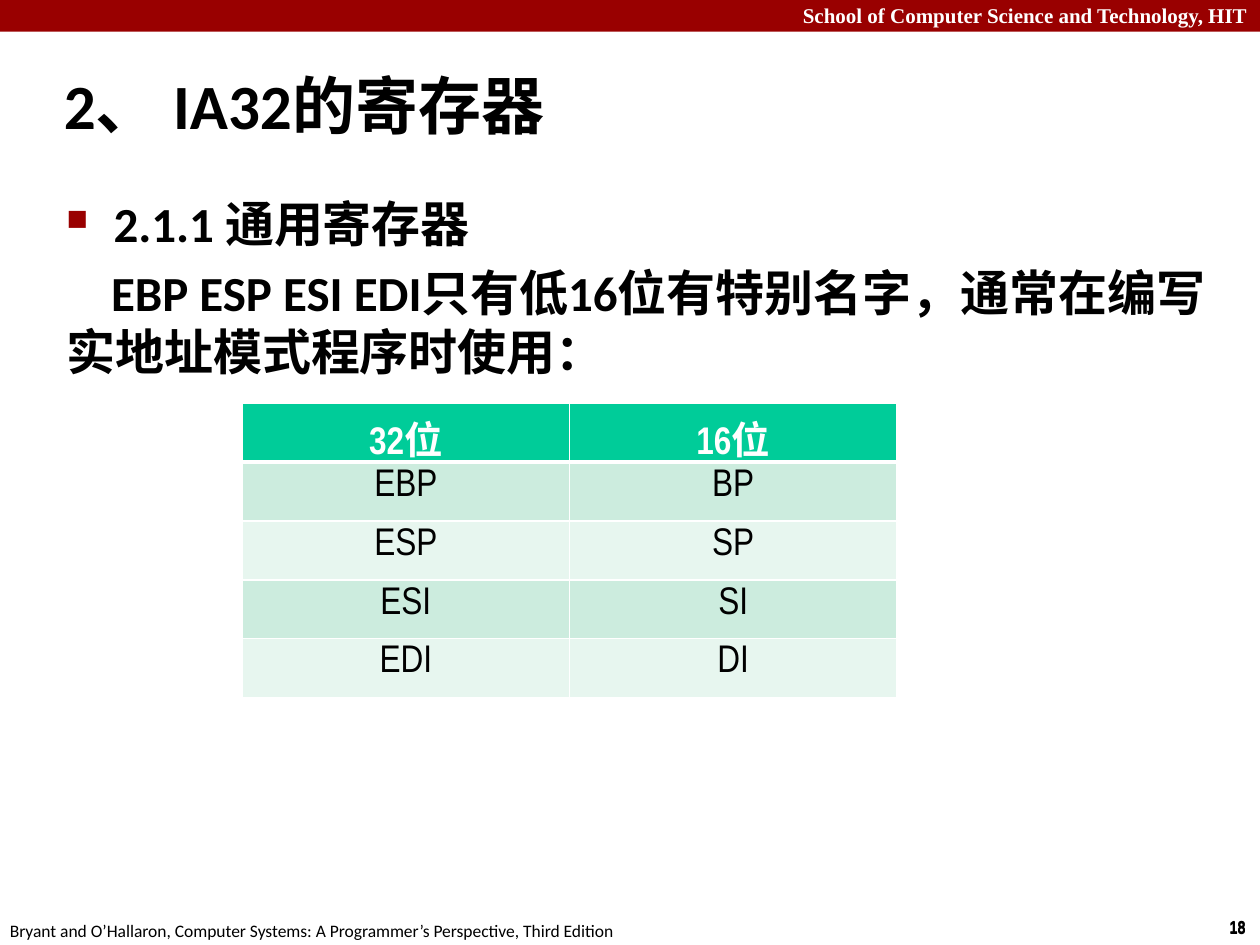
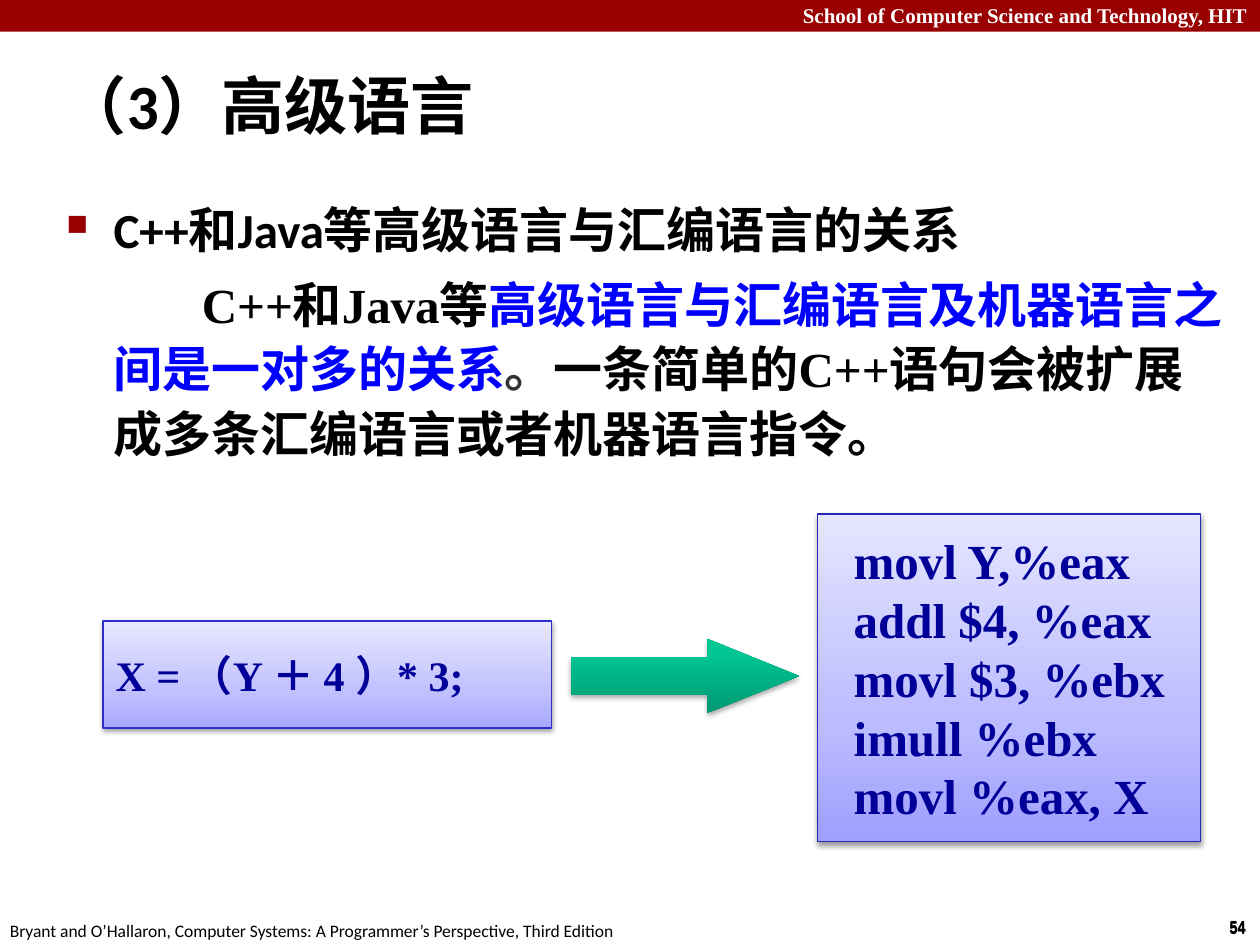
"""Builds two lecture slides on registers and high-level languages."""
import lxml.etree
import pptx
import pptx.dml.color
import pptx.enum.shapes
import pptx.enum.text
import pptx.oxml.ns
import pptx.util

Cm = pptx.util.Cm
Pt = pptx.util.Pt
qn = pptx.oxml.ns.qn
Align = pptx.enum.text.PP_ALIGN
Anchor = pptx.enum.text.MSO_ANCHOR
Preset = pptx.enum.shapes.MSO_SHAPE

COLORS = {
    "band": "990000", "paper": "FFFFFF", "ink": "000000", "stop": "333333",
    "emphasis": "0000FF", "code": "000099", "header": "00CC99",
    "odd": "CCECDE", "even": "E7F6EF",
}
SANS, SERIF, NARROW = "Calibri", "Times New Roman", "Arial Narrow"
STATEMENT_GRADIENT = [(0, "A7A7FF"), (35, "C1C1FF"), (100, "E7E7FF")]
ASSEMBLY_GRADIENT = [(0, "9F9FFF"), (35, "BBBBFF"), (100, "E5E5FF")]
ARROW_GRADIENT = [(0, "009872"), (80, "00C694"), (100, "00C795")]


def rgb(value):
    return pptx.dml.color.RGBColor.from_string(value)


def add_xml(parent, tag, **attributes):
    child = lxml.etree.SubElement(parent, qn(tag))
    for key, value in attributes.items():
        child.set(key, str(value))
    return child


def write(paragraph, text, size=28, font=SANS, color="ink", bold=True):
    run = paragraph.add_run()
    run.text = text
    run.font.size = Pt(size)
    run.font.name = font
    run.font.bold = bold
    run.font.color.rgb = rgb(COLORS[color])


class Deck:
    def __init__(self):
        self.show = pptx.Presentation()
        self.show.slide_width, self.show.slide_height = Cm(25.4), Cm(19.05)
        self.slide = None

    def start_slide(self, title, number):
        self.slide = self.show.slides.add_slide(self.show.slide_layouts[6])
        band = self.shape(Preset.RECTANGLE, 0, 0, 25.4, 0.64)
        band.fill.solid()
        band.fill.fore_color.rgb = rgb(COLORS["band"])
        school = self.textbox(0, -0.08, 25.4, 0.76)
        self.paragraph(school, "School of Computer Science and Technology, HIT",
                       align=Align.RIGHT, size=12, font=SERIF, color="paper")
        for top in (18.36, 18.34):
            page = self.textbox(24.54, top, 0.86, 0.69, wrap=False)
            self.paragraph(page, str(number), size=10, font=NARROW)
        book = self.textbox(-0.05, 18.42, 12.9, 0.69, wrap=False)
        self.paragraph(book, "Bryant and O’Hallaron, Computer Systems: "
                       "A Programmer’s Perspective, Third Edition", size=10, bold=False)
        heading = self.textbox(1.04, 1.04, 24.33, 2.11, anchor=Anchor.MIDDLE)
        self.paragraph(heading, title, margin=0.33, indent=-0.33, size=36)

    def textbox(self, left, top, width, height, wrap=True, anchor=Anchor.TOP):
        frame = self.slide.shapes.add_textbox(
            Cm(left), Cm(top), Cm(width), Cm(height)).text_frame
        frame.word_wrap = wrap
        frame.vertical_anchor = anchor
        return frame

    def body(self):
        return self.textbox(1.09, 3.78, 23.88, 14.63)

    def paragraph(self, frame, text="", align=Align.LEFT, margin=0, indent=0,
                  before=0, spacing=None, **style):
        first = frame.paragraphs[0]
        paragraph = frame.add_paragraph() if first.runs else first
        paragraph.alignment = align
        paragraph.space_before = Pt(before)
        paragraph.line_spacing = spacing
        properties = paragraph._p.get_or_add_pPr()
        properties.set("marL", str(Cm(margin)))
        properties.set("indent", str(Cm(indent)))
        if text:
            write(paragraph, text, **style)
        return paragraph

    def bullet(self, frame, text, spacing=None):
        item = self.paragraph(frame, text, margin=0.95, indent=-0.95,
                              before=5.6, spacing=spacing)
        properties = item._p.get_or_add_pPr()
        add_xml(add_xml(properties, "a:buClr"), "a:srgbClr", val=COLORS["band"])
        add_xml(properties, "a:buSzPct", val=60000)
        add_xml(properties, "a:buChar", char="■")

    def shape(self, preset, left, top, width, height):
        shape = self.slide.shapes.add_shape(
            preset, Cm(left), Cm(top), Cm(width), Cm(height))
        shape.shadow.inherit = False
        shape.line.fill.background()
        return shape

    def raised(self, preset, left, top, width, height, gradient, opacity, drop):
        shape = self.shape(preset, left, top, width, height)
        shape.fill.gradient()
        shape.fill.gradient_angle = 90
        properties = shape._element.spPr
        stops = properties.find(".//" + qn("a:gsLst"))
        for old in list(stops):
            stops.remove(old)
        for position, color in gradient:
            stop = add_xml(stops, "a:gs", pos=position * 1000)
            add_xml(stop, "a:srgbClr", val=color)
        shadow = add_xml(properties.find(qn("a:effectLst")), "a:outerShdw",
                         blurRad=Pt(3.1), dist=Pt(drop), dir=5400000, rotWithShape=0)
        shade = add_xml(shadow, "a:srgbClr", val=COLORS["ink"])
        add_xml(shade, "a:alpha", val=opacity * 1000)
        return shape

    def code_box(self, left, top, width, height, lines, gradient, border, size, margin=0):
        box = self.raised(Preset.RECTANGLE, left, top, width, height, gradient, 38, 1.6)
        box.line.color.rgb = rgb(border)
        box.line.width = Pt(0.75)
        box.text_frame.word_wrap = True
        box.text_frame.vertical_anchor = Anchor.MIDDLE
        for line in lines:
            self.paragraph(box.text_frame, line, margin=margin,
                           size=size, font=SERIF, color="code")

    def arrow(self, left, top, width, height):
        arrow = self.raised(Preset.RIGHT_ARROW, left, top, width, height,
                            ARROW_GRADIENT, 35, 1.8)
        arrow.adjustments[0], arrow.adjustments[1] = 0.5, 1.235

    def table(self, left, top, column_width, row_height, rows):
        columns = len(rows[0])
        table = self.slide.shapes.add_table(
            len(rows), columns, Cm(left), Cm(top),
            Cm(column_width * columns), Cm(row_height * len(rows))).table
        for r, values in enumerate(rows):
            table.rows[r].height = Cm(row_height)
            fill = "header" if r == 0 else ("even", "odd")[r % 2]
            for c, value in enumerate(values):
                table.columns[c].width = Cm(column_width)
                cell = table.cell(r, c)
                widths = {"L": 1, "R": 1, "T": 3 if r == 1 else 1, "B": 3 if r == 0 else 1}
                for side, width in widths.items():
                    edge = add_xml(cell._tc.get_or_add_tcPr(), "a:ln" + side, w=Pt(width))
                    add_xml(add_xml(edge, "a:solidFill"), "a:srgbClr", val=COLORS["paper"])
                cell.fill.solid()
                cell.fill.fore_color.rgb = rgb(COLORS[fill])
                self.paragraph(cell.text_frame, value, align=Align.CENTER, size=22,
                               font=NARROW, bold=r == 0, color="ink" if r else "paper")


def registers(deck):
    deck.start_slide("2、 IA32的寄存器", 18)
    body = deck.body()
    deck.bullet(body, "2.1.1 通用寄存器")
    deck.paragraph(body, "EBP ESP ESI EDI只有低16位有特别名字，通常在编写实地址模式程序时使用：",
                   indent=0.9, before=5.6)
    names = [("E" + name, name) for name in ("BP", "SP", "SI", "DI")]
    deck.table(4.88, 8.13, 6.6, 1.17, [("32位", "16位")] + names)


def languages(deck):
    deck.start_slide("（3）高级语言", 54)
    body = deck.body()
    deck.bullet(body, "C++和Java等高级语言与汇编语言的关系", spacing=1.1)
    relation = deck.paragraph(body, margin=0.95, indent=1.78, before=5.6, spacing=1.1)
    for text, color in (
            ("C++和Java等", "ink"),
            ("高级语言与汇编语言及机器语言之间是一对多的关系", "emphasis"),
            ("。", "stop"),
            ("一条简单的C++语句会被扩展成多条汇编语言或者机器语言指令。", "ink")):
        write(relation, text, font=SERIF, color=color)
    deck.code_box(2.08, 12.52, 9.04, 2.16, ["X = （Y ＋ 4 ）* 3;"],
                  STATEMENT_GRADIENT, "2E2ECB", 24)
    assembly = ["movl Y,%eax", "addl $4, %eax", "movl $3, %ebx", "imull %ebx", "movl %eax, X"]
    deck.code_box(16.48, 10.36, 7.72, 6.6, assembly,
                  ASSEMBLY_GRADIENT, "2929B8", 28, margin=0.48)
    deck.arrow(11.51, 12.88, 4.6, 1.5)


def main():
    deck = Deck()
    registers(deck)
    languages(deck)
    deck.show.save("out.pptx")


if __name__ == "__main__":
    main()
